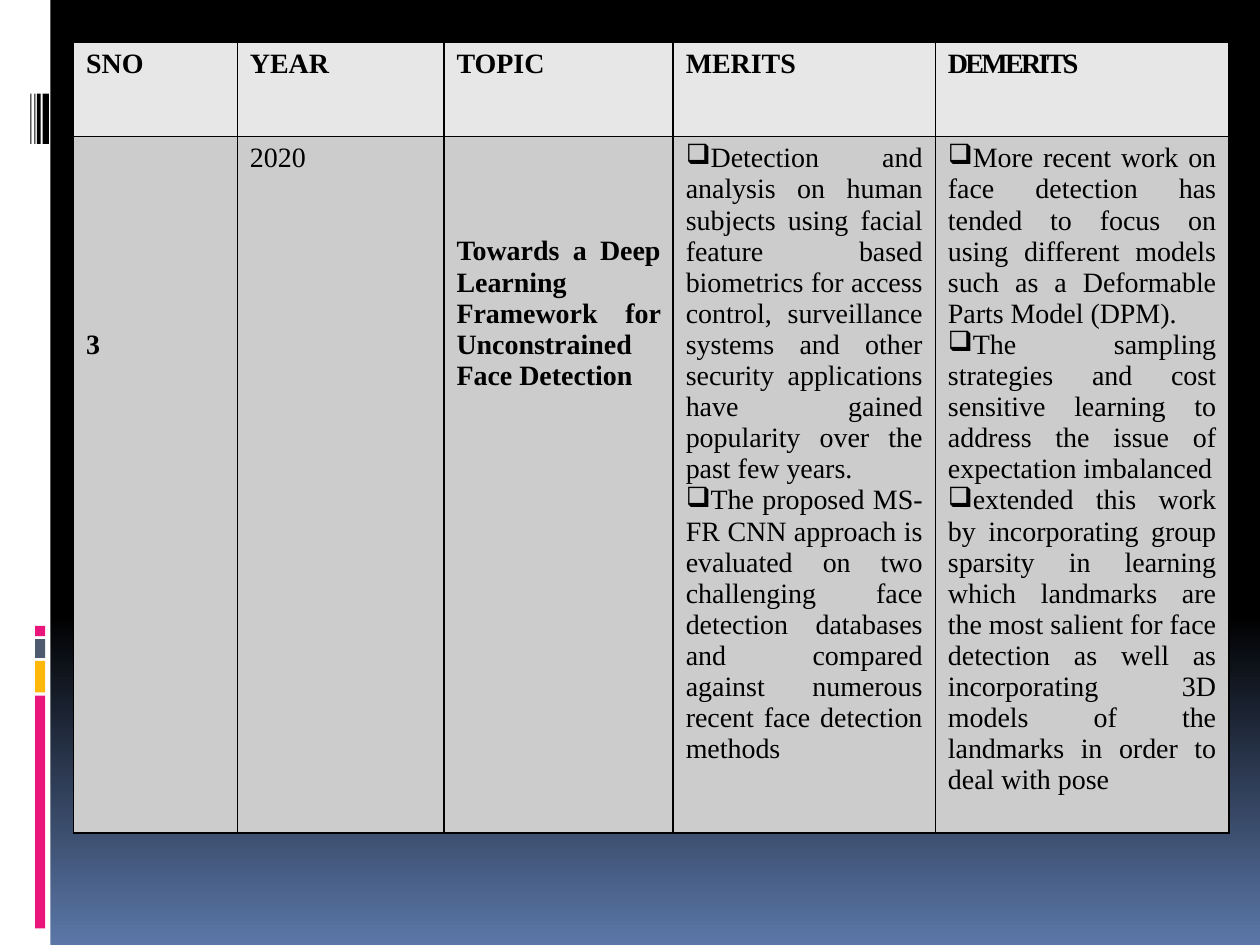
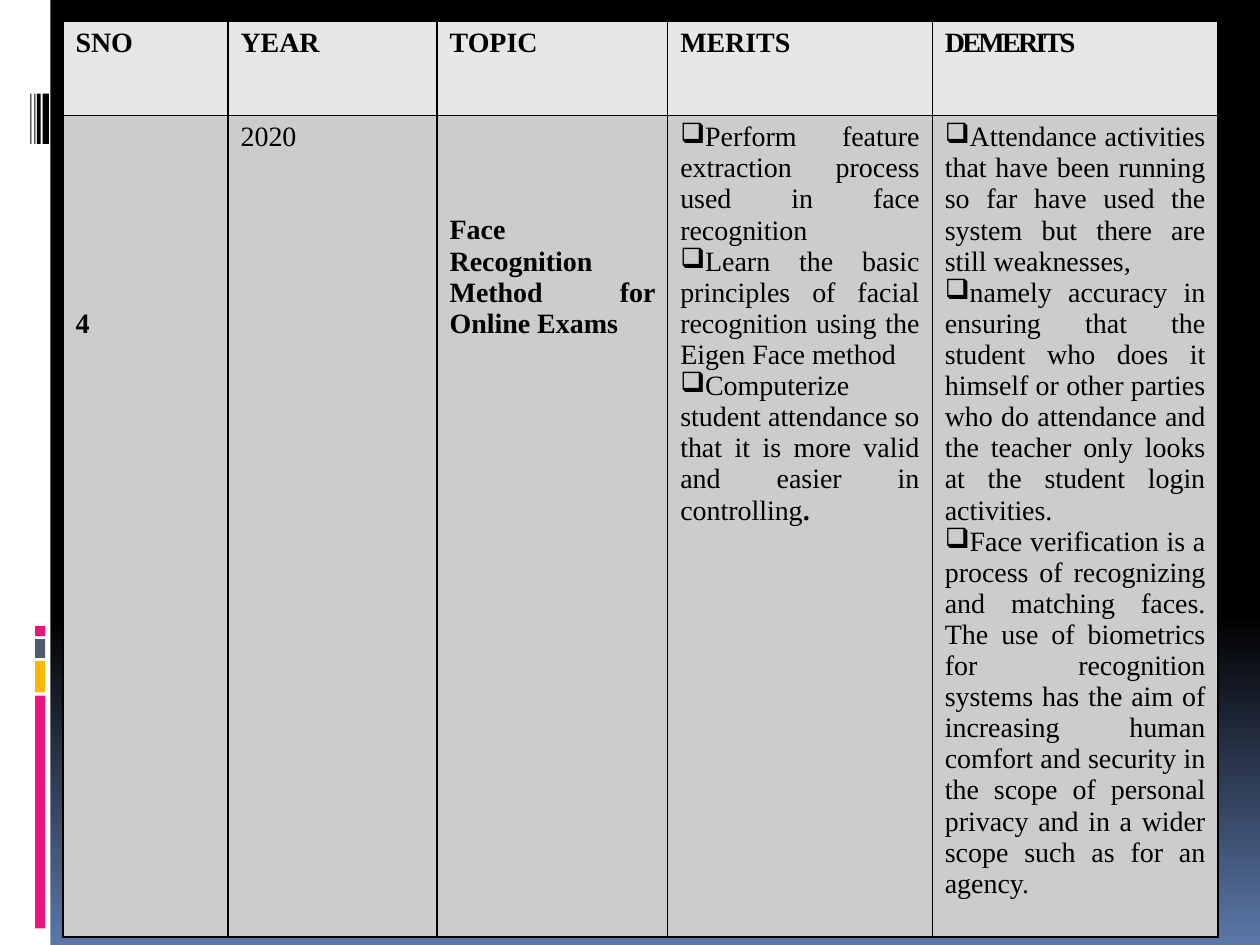
"""Build two literature survey slides, each with one table of merits and demerits."""
from lxml import etree
from pptx import Presentation
from pptx.dml.color import RGBColor
from pptx.enum import shapes, text
from pptx.oxml import ns
from pptx.util import Pt

BLACK = RGBColor(0x00, 0x00, 0x00)
WHITE = RGBColor(0xFF, 0xFF, 0xFF)
BLUE = RGBColor(0x5B, 0x77, 0xA8)
PINK = RGBColor(0xEA, 0x15, 0x7A)
AMBER = RGBColor(0xFE, 0xB8, 0x0A)
SLATE = RGBColor(0x4E, 0x5B, 0x6F)
HEADER_GREY = RGBColor(0xE7, 0xE7, 0xE7)
BODY_GREY = RGBColor(0xCC, 0xCC, 0xCC)

FONT = {"name": "Times New Roman", "size": Pt(16)}
LINE_HEIGHT = 17.75
CELL_MARGIN = 3.6
HEADER_HEIGHT = 54
NUMBER_DROP, TOPIC_DROP = 6, 3
BULLET = "❑"
BOLD_MARK = "**"

HEADERS = ["SNO", "YEAR", "TOPIC", "MERITS", "DEMERITS"]
TIGHT_HEADER = "DEMERITS"

SURVEYS = [
    {
        "left": 42, "top": 24, "body_height": 398,
        "columns": [93.6, 118.1, 131, 149.8, 167.8],
        "number": "3", "year": "2020",
        "topic": "Towards a Deep Learning Framework for Unconstrained Face Detection",
        "merits": [
            "Detection and analysis on human subjects using facial feature based "
            "biometrics for access control, surveillance systems and other security "
            "applications have gained popularity over the past few years.",
            "The proposed MS-FR CNN approach is evaluated on two challenging face "
            "detection databases and compared against numerous recent face detection methods",
        ],
        "demerits": [
            "More recent work on face detection has tended to focus on using different "
            "models such as a Deformable Parts Model (DPM).",
            "The sampling strategies and cost sensitive learning to address the issue "
            "of expectation imbalanced",
            "extended this work by incorporating group sparsity in learning which "
            "landmarks are the most salient for face detection as well as incorporating "
            "3D models of the landmarks in order to deal with pose",
        ],
    },
    {
        "left": 36, "top": 12, "body_height": 469.5,
        "columns": [94.3, 119.5, 131.8, 151.2, 163.4],
        "number": "4", "year": "2020",
        "topic": "Face Recognition Method for Online Exams",
        "merits": [
            "Perform feature extraction process used in face recognition",
            "Learn the basic principles of facial recognition using the Eigen Face method",
            "Computerize student attendance so that it is more valid and easier in "
            "controlling**.**",
        ],
        "demerits": [
            "Attendance activities that have been running so far have used the system "
            "but there are still weaknesses,",
            "namely accuracy in ensuring that the student who does it himself or other "
            "parties who do attendance and the teacher only looks at the student login "
            "activities.",
            "Face verification is a process of recognizing and matching faces. The use "
            "of biometrics for recognition systems has the aim of increasing human "
            "comfort and security in the scope of personal privacy and in a wider scope "
            "such as for an agency.",
        ],
    },
]

BAND = (0, 0, 28.8, 540, WHITE)
STRIPE_LEFT, STRIPE_WIDTH = 20, 5.8
STRIPES = [(397.6, 133, PINK), (377.7, 18, AMBER), (365.2, 10.8, SLATE), (357.7, 5.8, PINK)]
BARCODE_TOP, BARCODE_HEIGHT = 53.5, 28.8
BARCODE = [(24.3, 3.7), (21.1, 2.2), (19.6, 0.7), (17.4, 0.6)]


def paint_background(master):
    fill = master.background.fill
    fill.gradient()
    fill.gradient_angle = 270
    for stop, (position, color) in zip(fill.gradient_stops, [(0.65, BLACK), (1, BLUE)]):
        stop.position = position
        stop.color.rgb = color


def add_side_band(slide):
    stripes = [(STRIPE_LEFT, top, STRIPE_WIDTH, height, color) for top, height, color in STRIPES]
    bars = [(left, BARCODE_TOP, width, BARCODE_HEIGHT, BLACK) for left, width in BARCODE]
    for *box, color in [BAND, *stripes, *bars]:
        shape = slide.shapes.add_shape(shapes.MSO_SHAPE.RECTANGLE, *map(Pt, box))
        shape.shadow.inherit = False
        shape.fill.solid()
        shape.fill.fore_color.rgb = color
        shape.line.fill.background()


def add_borders(cell):
    properties = cell._tc.get_or_add_tcPr()
    for side in ("lnL", "lnR", "lnT", "lnB"):
        line = etree.SubElement(properties, ns.qn(f"a:{side}"), w=str(Pt(1)))
        solid = etree.SubElement(line, ns.qn("a:solidFill"))
        etree.SubElement(solid, ns.qn("a:srgbClr"), val=str(BLACK))


def add_bullet(paragraph):
    properties = paragraph._p.get_or_add_pPr()
    properties.set("marL", "0")
    properties.set("indent", "0")
    etree.SubElement(properties, ns.qn("a:buChar"), char=BULLET)


def fill_cell(cell, color, paragraphs, bold=False, bullets=False, drop=0):
    add_borders(cell)
    cell.fill.solid()
    cell.fill.fore_color.rgb = color
    cell.margin_top = Pt(CELL_MARGIN + drop * LINE_HEIGHT)
    frame = cell.text_frame
    for index, content in enumerate(paragraphs):
        paragraph = frame.add_paragraph() if index else frame.paragraphs[0]
        paragraph.alignment = text.PP_ALIGN.JUSTIFY
        if bullets:
            add_bullet(paragraph)
        for part, piece in enumerate(content.split(BOLD_MARK)):
            if not piece:
                continue
            run = paragraph.add_run()
            run.text = piece
            for name, value in FONT.items():
                setattr(run.font, name, value)
            run.font.bold = bold or part % 2 == 1
            run.font.color.rgb = BLACK
            if piece == TIGHT_HEADER:
                run._r.get_or_add_rPr().set("spc", "-150")


def add_survey_table(slide, survey):
    columns = survey["columns"]
    heights = [HEADER_HEIGHT, survey["body_height"]]
    box = (survey["left"], survey["top"], sum(columns), sum(heights))
    table = slide.shapes.add_table(len(heights), len(columns), *map(Pt, box)).table
    for column, width in zip(table.columns, columns):
        column.width = Pt(width)
    for row, height in zip(table.rows, heights):
        row.height = Pt(height)
    for index, header in enumerate(HEADERS):
        fill_cell(table.cell(0, index), HEADER_GREY, [header], bold=True)
    body = [
        ([survey["number"]], {"bold": True, "drop": NUMBER_DROP}),
        ([survey["year"]], {}),
        ([survey["topic"]], {"bold": True, "drop": TOPIC_DROP}),
        (survey["merits"], {"bullets": True}),
        (survey["demerits"], {"bullets": True}),
    ]
    for index, (paragraphs, style) in enumerate(body):
        fill_cell(table.cell(1, index), BODY_GREY, paragraphs, **style)


def main():
    presentation = Presentation()
    presentation.slide_width, presentation.slide_height = Pt(720), Pt(540)
    paint_background(presentation.slide_master)
    for survey in SURVEYS:
        slide = presentation.slides.add_slide(presentation.slide_layouts[6])
        add_side_band(slide)
        add_survey_table(slide, survey)
    presentation.save("out.pptx")


if __name__ == "__main__":
    main()
